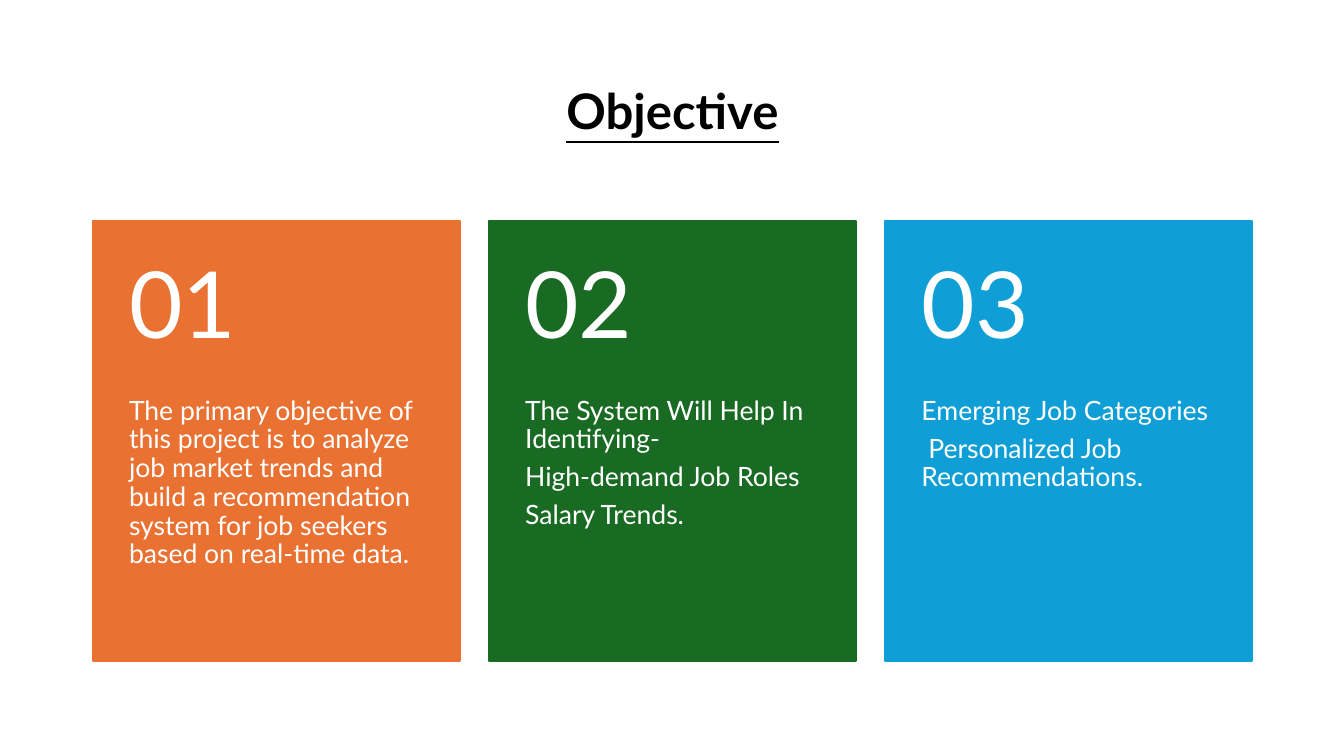
import pptx
import pptx.dml.color
import pptx.enum.shapes
import pptx.enum.text
import pptx.util
from pptx.util import Inches

FONT = "Lato"
COLORS = {
    "title": "000000",
    "text": "FFFFFF",
    "orange": "E97132",
    "green": "196B24",
    "blue": "0F9ED5",
}
CARDS = [
    ("orange", ["The primary objective of this project is to analyze job market "
                "trends and build a recommendation system for job seekers based "
                "on real-time data."]),
    ("green", ["The System Will Help In Identifying-",
               "High-demand Job Roles",
               "Salary Trends."]),
    ("blue", ["Emerging Job Categories",
              " Personalized Job Recommendations."]),
]
MARGIN, CARD_TOP = 0.92, 2.19
CARD_WIDTH, CARD_PITCH = 3.64, 3.93
NUMBER_HEIGHT, BODY_HEIGHT = 1.75, 2.62
SIDE_INSET = 0.36

ALIGN = pptx.enum.text.PP_ALIGN
ANCHOR = pptx.enum.text.MSO_ANCHOR


def rgb(name):
    return pptx.dml.color.RGBColor.from_string(COLORS[name])


def write(frame, lines, *, size, color="text", bold=False, underline=False,
          align=ALIGN.LEFT, anchor=ANCHOR.TOP, space_after=0):
    """Fill a text frame with one paragraph per line, all in one format."""
    frame.word_wrap = True
    frame.auto_size = pptx.enum.text.MSO_AUTO_SIZE.NONE
    frame.vertical_anchor = anchor
    for index, line in enumerate(lines):
        para = frame.paragraphs[0] if index == 0 else frame.add_paragraph()
        para.alignment = align
        para.line_spacing = 0.9
        para.space_before = pptx.util.Pt(0)
        para.space_after = pptx.util.Pt(space_after)
        span = para.add_run()
        span.text = line
        span.font.name = FONT
        span.font.size = pptx.util.Pt(size)
        span.font.bold = bold
        span.font.underline = underline
        span.font.color.rgb = rgb(color)


def add_title(slide, text):
    title = slide.shapes.title
    title.left, title.top = Inches(MARGIN), Inches(0.4)
    title.width, title.height = Inches(11.5), Inches(1.45)
    write(title.text_frame, [text], size=35, color="title", bold=True,
          underline=True, align=ALIGN.CENTER, anchor=ANCHOR.MIDDLE)


def add_panel(slide, left, color):
    panel = slide.shapes.add_shape(
        pptx.enum.shapes.MSO_SHAPE.RECTANGLE, Inches(left), Inches(CARD_TOP),
        Inches(CARD_WIDTH), Inches(NUMBER_HEIGHT + BODY_HEIGHT))
    panel.shadow.inherit = False
    panel.fill.solid()
    panel.fill.fore_color.rgb = rgb(color)
    panel.line.color.rgb = rgb(color)
    panel.line.width = pptx.util.Pt(1.5)


def add_card_text(slide, left, top, height, lines, *, insets, **text_format):
    """Add a card-wide text box; insets are its top and bottom margins."""
    box = slide.shapes.add_textbox(Inches(left), Inches(top),
                                   Inches(CARD_WIDTH), Inches(height))
    frame = box.text_frame
    frame.margin_left = frame.margin_right = Inches(SIDE_INSET)
    frame.margin_top, frame.margin_bottom = map(Inches, insets)
    write(frame, lines, **text_format)


def add_card(slide, number, color, lines):
    left = MARGIN + (number - 1) * CARD_PITCH
    add_panel(slide, left, color)
    add_card_text(slide, left, CARD_TOP + NUMBER_HEIGHT, BODY_HEIGHT, lines,
                  insets=(0, 0.36), size=19, space_after=6.65)
    add_card_text(slide, left, CARD_TOP, NUMBER_HEIGHT, [f"{number:02d}"],
                  insets=(0.18, 0.18), size=66, anchor=ANCHOR.MIDDLE)


def main():
    deck = pptx.Presentation()
    deck.slide_width, deck.slide_height = Inches(13.33), Inches(7.5)
    slide = deck.slides.add_slide(deck.slide_layouts.get_by_name("Title Only"))
    add_title(slide, "Objective")
    for number, (color, lines) in enumerate(CARDS, start=1):
        add_card(slide, number, color, lines)
    deck.save("out.pptx")


if __name__ == "__main__":
    main()
